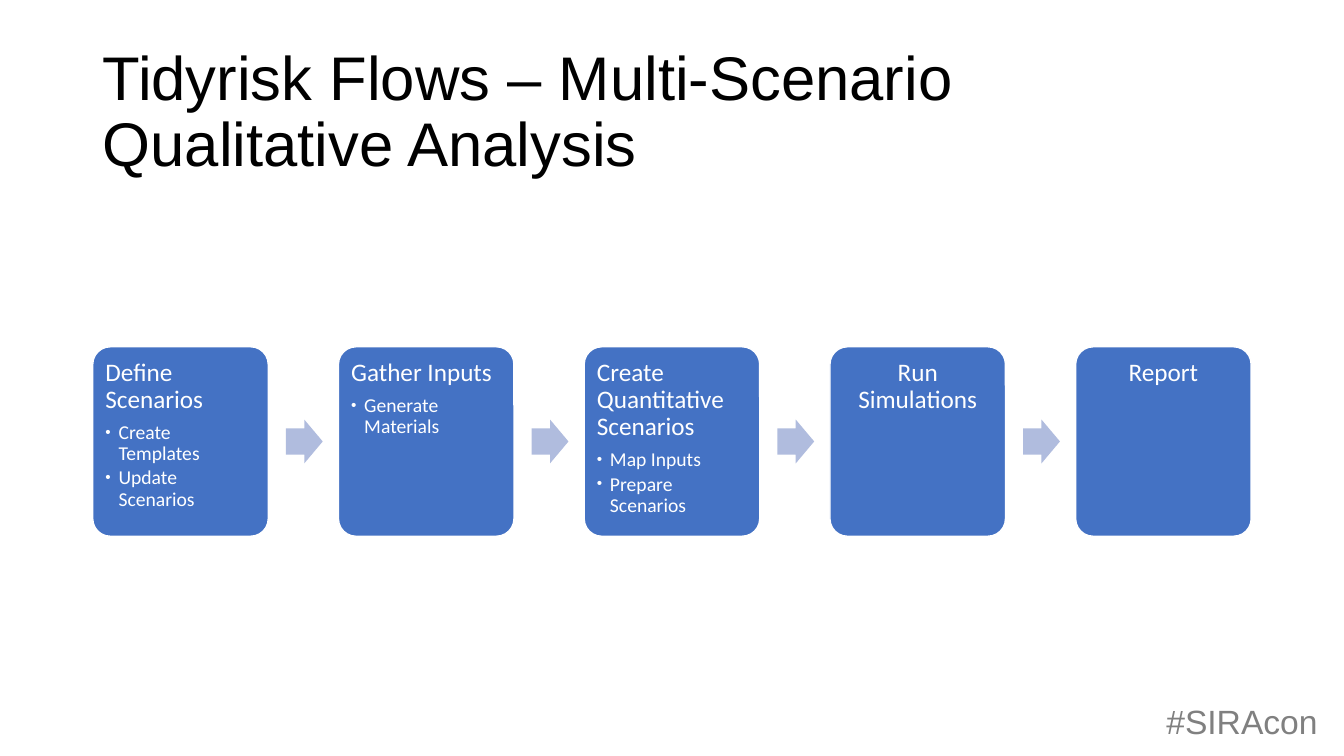
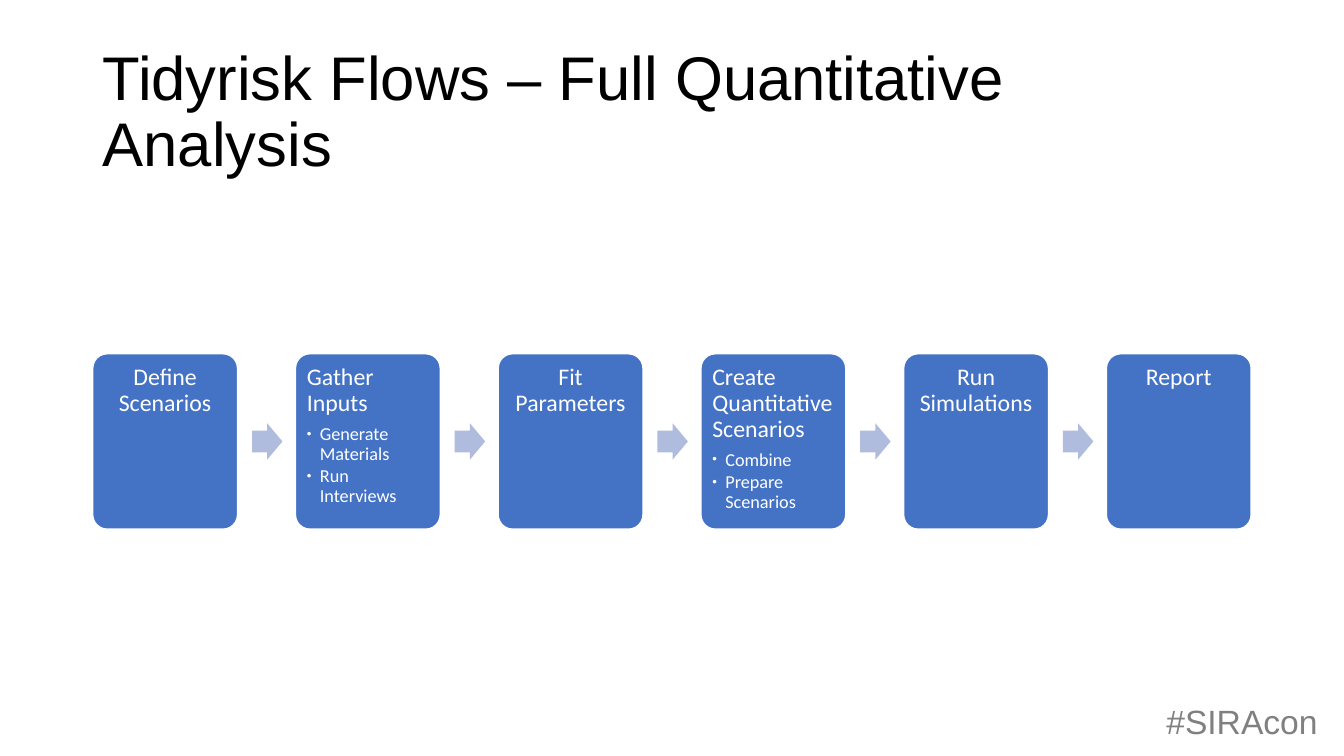
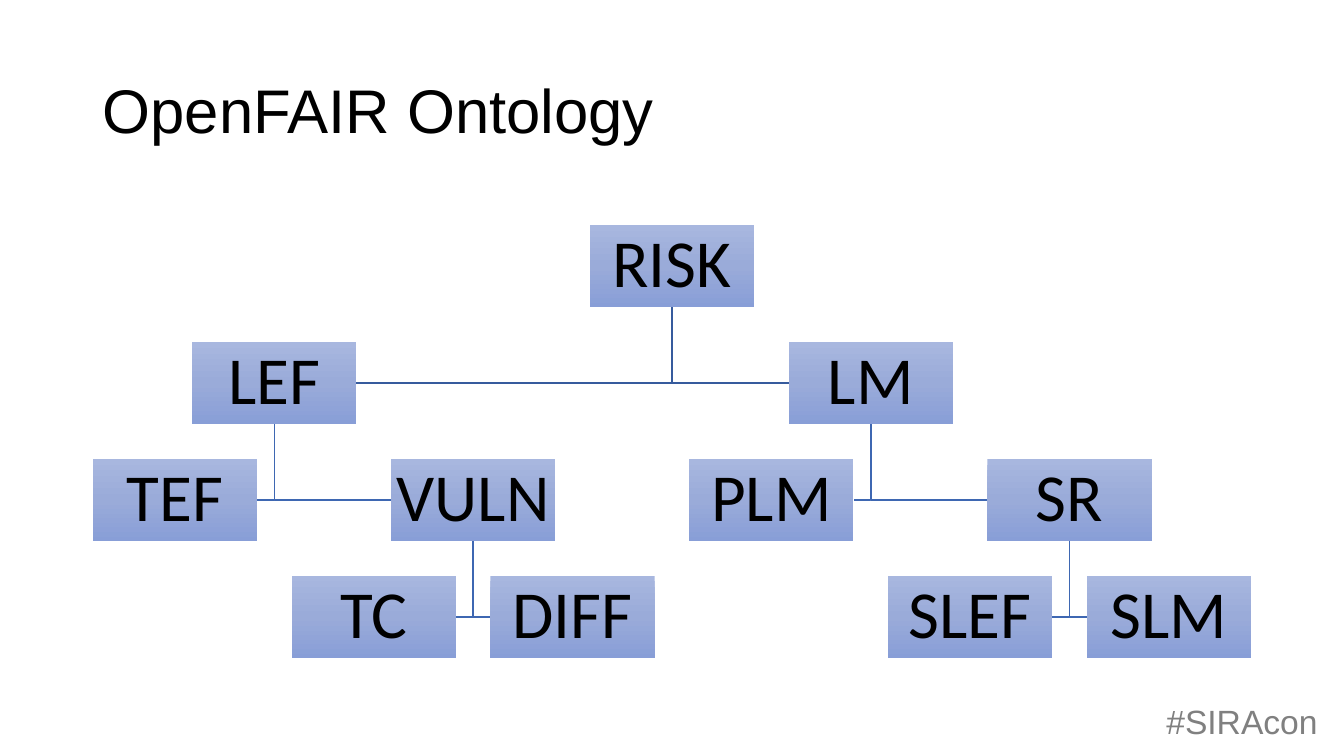
from copy import deepcopy
from dataclasses import dataclass

from lxml.etree import SubElement
from pptx import Presentation
from pptx.dml.color import RGBColor
from pptx.enum.shapes import MSO_SHAPE as Shape
from pptx.enum.text import MSO_ANCHOR as Anchor, PP_ALIGN as Align
from pptx.oxml.ns import qn
from pptx.util import Inches, Pt

SLIDE_W, SLIDE_H = 13.33, 7.5
LEFT, CONTENT_W = 0.92, 11.49
COLORS = {
    "title": "000000", "hashtag": "808080",
    "step": "4472C4", "step_text": "FFFFFF", "arrow": "B0BCDE",
    "node_text": "000000", "root_link": "365B9D", "link": "3E67B2",
}
NODE_GRADIENT = ((0, "A8B7DF"), (0.5, "9AABD9"), (1, "889ED7"))
HEADING_FONT, DIAGRAM_FONT = "Arial", "Calibri"
LINE_SPACING = 0.9

# Flow proportions, as shares of a step's width
STEP_GAP, ARROW_OFFSET, ARROW_W, ARROW_H = 0.4, 1.1, 0.21, 0.25
FLOW_MIDDLE = 4.38
STEP_MARGIN = 0.3  # share of the heading size
BULLET_INDENT = 0.13
DEFAULT_SIZE = 18  # bullet sizes are relative to this

# Tree grid
NODE_W, NODE_H = 1.63, 0.82
COLUMN_PITCH = (CONTENT_W - NODE_W) / 10
TREE_TOP, ROW_PITCH = 2.23, 1.16


@dataclass(frozen=True)
class Step:
    heading: str
    tasks: tuple[str, ...] = ()


@dataclass(frozen=True)
class Flow:
    title: str
    step_height: float
    heading_size: int
    task_size: int
    steps: tuple[Step, ...]


@dataclass(frozen=True)
class Node:
    label: str
    column: int
    row: int
    branches: tuple["Node", ...] = ()

    @property
    def left(self) -> float:
        return LEFT + self.column * COLUMN_PITCH

    @property
    def top(self) -> float:
        return TREE_TOP + self.row * ROW_PITCH


FLOWS = (
    Flow("Tidyrisk Flows – Multi-Scenario Qualitative Analysis", 1.88, 18, 14, (
        Step("Define Scenarios", ("Create Templates", "Update Scenarios")),
        Step("Gather Inputs", ("Generate Materials",)),
        Step("Create Quantitative Scenarios", ("Map Inputs", "Prepare Scenarios")),
        Step("Run Simulations"),
        Step("Report"),
    )),
    Flow("Tidyrisk Flows – Full Quantitative Analysis", 1.74, 17, 13, (
        Step("Define Scenarios"),
        Step("Gather Inputs", ("Generate Materials", "Run Interviews")),
        Step("Fit Parameters"),
        Step("Create Quantitative Scenarios", ("Combine", "Prepare Scenarios")),
        Step("Run Simulations"),
        Step("Report"),
    )),
)

ONTOLOGY = Node("RISK", 5, 0, (
    Node("LEF", 1, 1, (
        Node("TEF", 0, 2),
        Node("VULN", 3, 2, (Node("TC", 2, 3), Node("DIFF", 4, 3))),
    )),
    Node("LM", 7, 1, (
        Node("PLM", 6, 2),
        Node("SR", 9, 2, (Node("SLEF", 8, 3), Node("SLM", 10, 3))),
    )),
))


def color(name: str) -> RGBColor:
    return RGBColor.from_string(COLORS[name])


def style_font(paragraph, font_name: str, size: int, color_name: str) -> None:
    font = paragraph.font
    font.name, font.size = font_name, Pt(size)
    font.color.rgb = color(color_name)


def set_margins(frame, margin: int) -> None:
    frame.margin_left = frame.margin_right = margin
    frame.margin_top = frame.margin_bottom = margin


def add_preset(slide, kind, left: float, top: float, width: float, height: float):
    """Add a preset shape without shadow or outline."""
    shape = slide.shapes.add_shape(
        kind, Inches(left), Inches(top), Inches(width), Inches(height))
    shape.shadow.inherit = False
    shape.line.fill.background()
    return shape


def add_heading_box(slide, text: str, left: float, top: float, width: float,
                    height: float, size: int, color_name: str):
    box = slide.shapes.add_textbox(
        Inches(left), Inches(top), Inches(width), Inches(height))
    paragraph = box.text_frame.paragraphs[0]
    paragraph.text = text
    style_font(paragraph, HEADING_FONT, size, color_name)
    return box.text_frame


def add_titled_slide(deck, title: str):
    """Add a blank slide with the shared hashtag and title."""
    slide = deck.slides.add_slide(deck.slide_layouts[6])
    hashtag = add_heading_box(
        slide, "#SIRAcon", 11.47, 6.9, 1.74, 0.5, 24, "hashtag")
    hashtag.word_wrap = False
    frame = add_heading_box(
        slide, title, LEFT, 0.4, CONTENT_W, 1.45, 44, "title")
    frame.word_wrap = True
    frame.vertical_anchor = Anchor.MIDDLE
    frame.paragraphs[0].line_spacing = LINE_SPACING
    return slide


def add_bullet(paragraph, size: int) -> None:
    paragraph.level = 1
    properties = paragraph._p.get_or_add_pPr()
    properties.set("marL", str(Inches(BULLET_INDENT)))
    properties.set("indent", str(-Inches(BULLET_INDENT)))
    share = round(100 * size / DEFAULT_SIZE) * 1000
    SubElement(properties, qn("a:buSzPct")).set("val", str(share))
    SubElement(properties, qn("a:buFont")).set("typeface", HEADING_FONT)
    SubElement(properties, qn("a:buChar")).set("char", "•")


def add_step(slide, flow: Flow, step: Step, left: float, width: float) -> None:
    box = add_preset(slide, Shape.ROUNDED_RECTANGLE, left,
                     FLOW_MIDDLE - flow.step_height / 2, width, flow.step_height)
    box.adjustments[0] = 0.1
    box.fill.solid()
    box.fill.fore_color.rgb = color("step")
    box.line.color.rgb = color("step_text")
    box.line.width = Pt(1)

    frame = box.text_frame
    frame.word_wrap = True
    frame.vertical_anchor = Anchor.TOP
    set_margins(frame, Pt(STEP_MARGIN * flow.heading_size))
    heading = frame.paragraphs[0]
    heading.text = step.heading
    heading.alignment = Align.LEFT if step.tasks else Align.CENTER
    heading.line_spacing = LINE_SPACING
    heading.space_after = Pt(0.35 * flow.heading_size)
    style_font(heading, DIAGRAM_FONT, flow.heading_size, "step_text")
    for task in step.tasks:
        item = frame.add_paragraph()
        item.text = task
        add_bullet(item, flow.task_size)
        item.alignment = Align.LEFT
        item.line_spacing = LINE_SPACING
        item.space_after = Pt(0.15 * flow.task_size)
        style_font(item, DIAGRAM_FONT, flow.task_size, "step_text")


def add_step_arrow(slide, step_left: float, step_width: float) -> None:
    height = ARROW_H * step_width
    arrow = add_preset(slide, Shape.RIGHT_ARROW, step_left + ARROW_OFFSET * step_width,
                       FLOW_MIDDLE - height / 2, ARROW_W * step_width, height)
    arrow.adjustments[0], arrow.adjustments[1] = 0.6, 0.5
    arrow.fill.solid()
    arrow.fill.fore_color.rgb = color("arrow")


def add_flow_slide(deck, flow: Flow) -> None:
    slide = add_titled_slide(deck, flow.title)
    count = len(flow.steps)
    width = CONTENT_W / (count + STEP_GAP * (count - 1))
    for index, step in enumerate(flow.steps):
        left = LEFT + index * width * (1 + STEP_GAP)
        add_step(slide, flow, step, left, width)
        if index < count - 1:
            add_step_arrow(slide, left, width)


def fill_gradient(shape) -> None:
    """Fill from top to bottom with the three node colours."""
    shape.fill.gradient()
    shape.fill.gradient_angle = 270
    stop_list = shape._element.spPr.find(qn("a:gradFill")).find(qn("a:gsLst"))
    stop_list.insert(1, deepcopy(stop_list[0]))
    for stop, (position, hex_color) in zip(shape.fill.gradient_stops, NODE_GRADIENT):
        stop.position = position
        stop.color.rgb = RGBColor.from_string(hex_color)


def add_links(slide, parent: Node) -> None:
    """Draw bent lines from a node's bottom to its branches' near sides, then theirs."""
    trunk_x = parent.left + NODE_W / 2
    for branch in parent.branches:
        add_links(slide, branch)
        bend_y = branch.top + NODE_H / 2
        side_x = branch.left + (NODE_W if branch.left < parent.left else 0)
        outline = slide.shapes.build_freeform(
            Inches(trunk_x), Inches(parent.top + NODE_H))
        outline.add_line_segments(
            [(Inches(trunk_x), Inches(bend_y)), (Inches(side_x), Inches(bend_y))],
            close=False)
        link = outline.convert_to_shape()
        link.shadow.inherit = False
        link.fill.background()
        link.line.color.rgb = color("link" if parent.row else "root_link")
        link.line.width = Pt(1)


def add_nodes(slide, node: Node) -> None:
    box = add_preset(slide, Shape.RECTANGLE, node.left, node.top, NODE_W, NODE_H)
    fill_gradient(box)
    frame = box.text_frame
    frame.word_wrap = True
    frame.vertical_anchor = Anchor.MIDDLE
    set_margins(frame, Inches(0.03))
    label = frame.paragraphs[0]
    label.text = node.label
    label.alignment = Align.CENTER
    label.line_spacing = LINE_SPACING
    style_font(label, DIAGRAM_FONT, 48, "node_text")
    for branch in node.branches:
        add_nodes(slide, branch)


def add_tree_slide(deck, title: str, root: Node) -> None:
    slide = add_titled_slide(deck, title)
    add_links(slide, root)
    add_nodes(slide, root)


def main() -> None:
    deck = Presentation()
    deck.slide_width, deck.slide_height = Inches(SLIDE_W), Inches(SLIDE_H)
    for flow in FLOWS:
        add_flow_slide(deck, flow)
    add_tree_slide(deck, "OpenFAIR Ontology", ONTOLOGY)
    deck.save("out.pptx")


if __name__ == "__main__":
    main()
